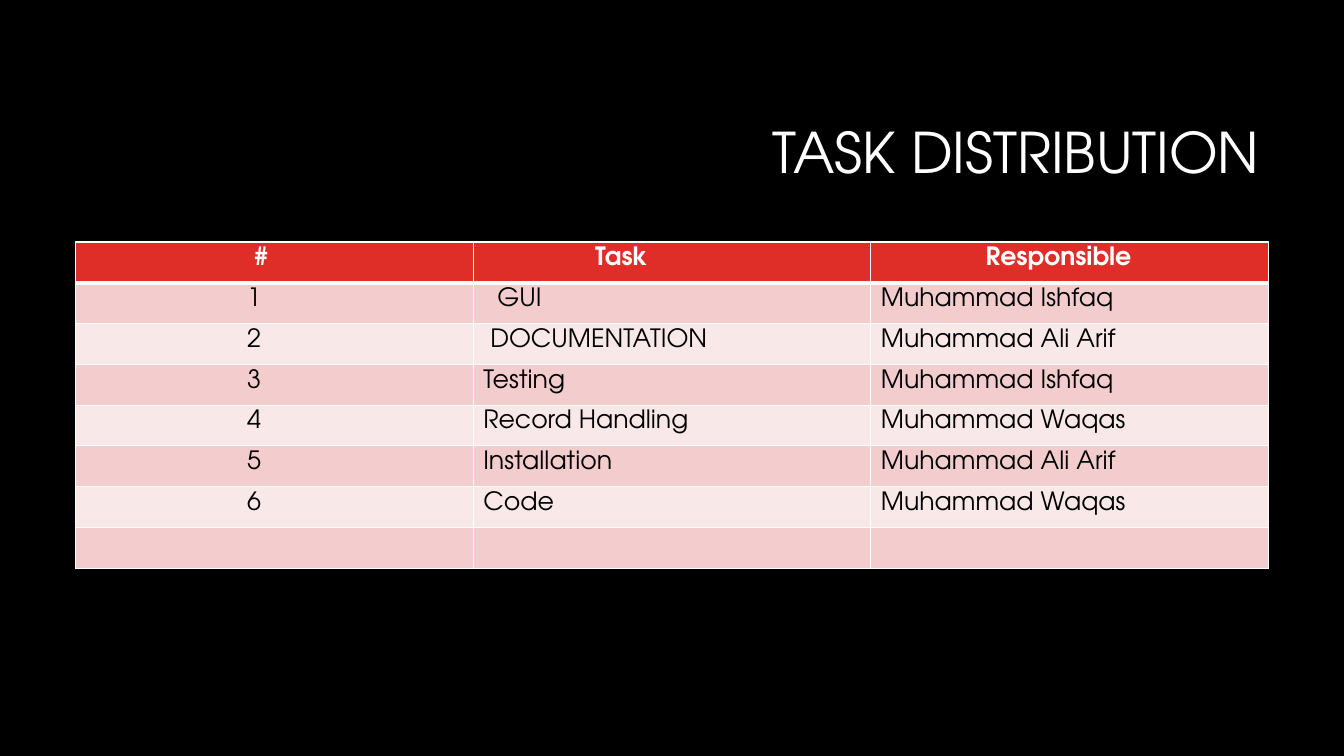
from lxml import etree
from pptx import Presentation
from pptx.dml.color import RGBColor
from pptx.enum import text
from pptx.oxml import ns
from pptx.util import Inches, Pt

TITLE = "TASK DISTRIBUTION"
HEADER = ("#", "Task", "Responsible")
TASKS = [
    ("1", "GUI", "Muhammad Ishfaq"),
    ("2", "DOCUMENTATION", "Muhammad Ali Arif"),
    ("3", "Testing", "Muhammad Ishfaq"),
    ("4", "Record Handling", "Muhammad Waqas"),
    ("5", "Installation", "Muhammad Ali Arif"),
    ("6", "Code", "Muhammad Waqas"),
    ("", "", ""),
]
FONT = "TeX Gyre Adventor"
COLORS = {"background": "000000", "light": "FFFFFF", "dark": "000000",
          "header": "DF2E28", "odd": "F3CDCD", "even": "F9E8E8"}

# Left margins in inches
HEADER_INDENTS = (1.77, 1.21, 1.14)
BODY_INDENTS = (1.7, 0.1, 0.1)
TASK_INDENTS = {"GUI": 0.24, "DOCUMENTATION": 0.17}

TABLE_LEFT, TABLE_TOP = 0.75, 2.4
TABLE_WIDTH, TABLE_HEIGHT = 11.83, 3.24


def color(name):
    return RGBColor.from_string(COLORS[name])


def style(para, size, color_name, bold=False):
    for span in para.runs:
        span.font.name = FONT
        span.font.size = Pt(size)
        span.font.bold = bold
        span.font.color.rgb = color(color_name)


def add_borders(cell, bottom):
    """Draw white cell edges, in points; they must precede the fill in tcPr."""
    props = cell._tc.get_or_add_tcPr()
    widths = {"lnL": 1, "lnR": 1, "lnT": 1, "lnB": bottom}
    for position, (edge, width) in enumerate(widths.items()):
        line = etree.Element(ns.qn("a:" + edge), w=str(Pt(width)))
        fill = etree.SubElement(line, ns.qn("a:solidFill"))
        etree.SubElement(fill, ns.qn("a:srgbClr"), val=COLORS["light"])
        props.insert(position, line)


def add_title(page):
    box = page.shapes.title
    box.left, box.top = Inches(3.17), Inches(0.84)
    box.width, box.height = Inches(9.42), Inches(1.41)
    frame = box.text_frame
    frame.text = TITLE
    frame.vertical_anchor = text.MSO_ANCHOR.MIDDLE
    para = frame.paragraphs[0]
    para.alignment = text.PP_ALIGN.RIGHT
    para.line_spacing = 0.9
    style(para, 40, "light")


def add_task_table(page):
    rows = [HEADER] + TASKS
    table = page.shapes.add_table(
        len(rows), len(HEADER), Inches(TABLE_LEFT), Inches(TABLE_TOP),
        Inches(TABLE_WIDTH), Inches(TABLE_HEIGHT)).table
    for r, values in enumerate(rows):
        is_header = r == 0
        fill = "header" if is_header else "odd" if r % 2 else "even"
        indents = HEADER_INDENTS if is_header else BODY_INDENTS
        for c, value in enumerate(values):
            cell = table.cell(r, c)
            cell.text = value
            cell.margin_left = Inches(TASK_INDENTS.get(value, indents[c]))
            cell.fill.solid()
            cell.fill.fore_color.rgb = color(fill)
            add_borders(cell, bottom=3 if is_header else 1)
            style(cell.text_frame.paragraphs[0], 18,
                  "light" if is_header else "dark", bold=is_header)


def main():
    deck = Presentation()
    deck.slide_width, deck.slide_height = Inches(13.33), Inches(7.5)
    page = deck.slides.add_slide(deck.slide_layouts.get_by_name("Title Only"))
    page.background.fill.solid()
    page.background.fill.fore_color.rgb = color("background")
    add_title(page)
    add_task_table(page)
    deck.save("out.pptx")


if __name__ == "__main__":
    main()
